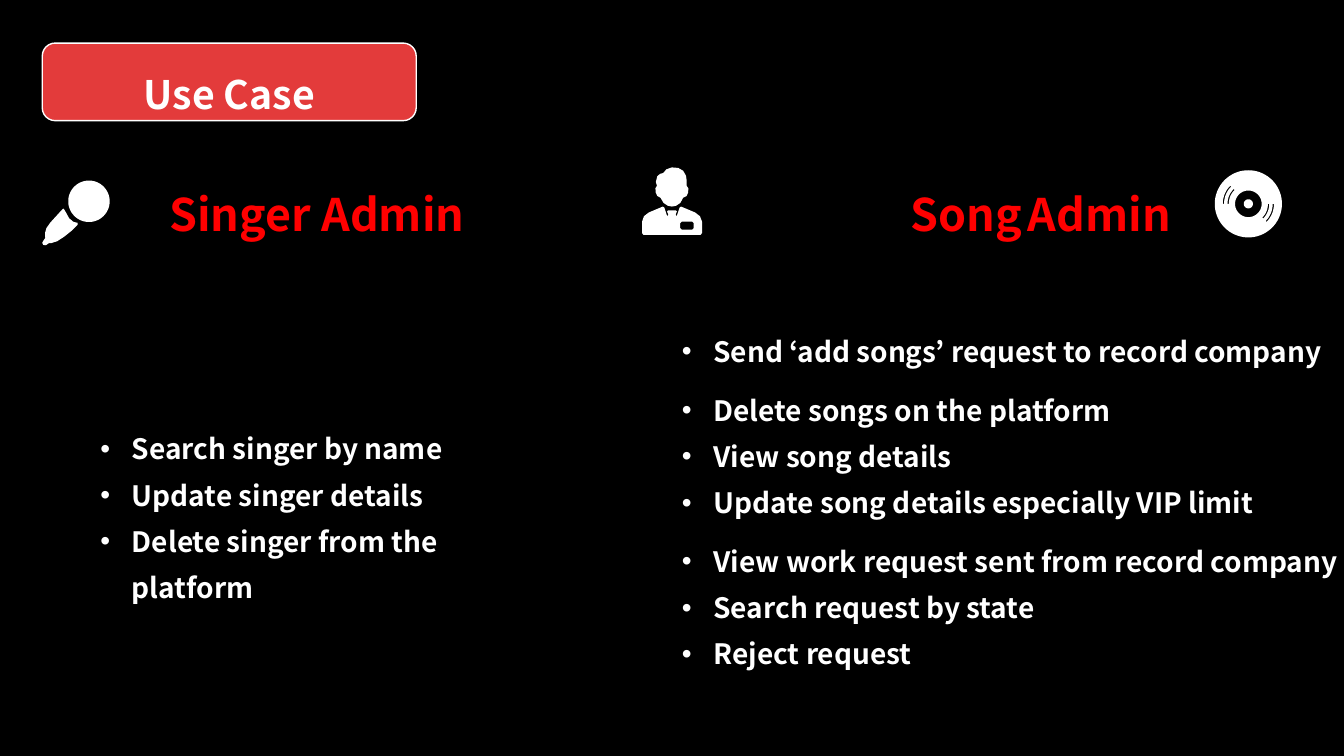
from dataclasses import dataclass
from math import cos, radians, sin

from lxml.etree import SubElement
from pptx import Presentation
from pptx.dml.color import RGBColor as RGB
from pptx.enum.shapes import MSO_SHAPE as SHAPE
from pptx.enum.text import MSO_ANCHOR as ANCHOR, MSO_AUTO_SIZE as FIT, PP_ALIGN as ALIGN
from pptx.oxml.ns import qn
from pptx.util import Pt


@dataclass(frozen=True)
class Theme:
    """Colours, font and type sizes of the deck."""
    font: str = "Noto Sans CJK JP"
    black: str = "000000"
    white: str = "FFFFFF"
    heading: str = "FF0000"
    banner: str = "FF4343"
    title_size: int = 28
    heading_size: int = 32
    body_size: int = 20
    gap_size: int = 18


def arc(center_x, center_y, radius, start=0, stop=360, step=5):
    """Return points along a circular arc."""
    return [(center_x + radius * cos(radians(angle)), center_y + radius * sin(radians(angle)))
            for angle in range(start, stop + 1, step)]


class UseCaseSlide:
    """Draws styled elements on one slide."""

    def __init__(self, deck, theme):
        """Add a comparison slide with a plain background."""
        self.theme = theme
        self.slide = deck.slides.add_slide(deck.slide_layouts[4])
        self.slide.background.fill.solid()
        self.slide.background.fill.fore_color.rgb = RGB.from_string(theme.black)

    def place(self, index, left, top, width, height):
        """Move a placeholder and return its text frame."""
        box = self.slide.placeholders[index]
        box.left, box.top, box.width, box.height = map(Pt, (left, top, width, height))
        frame = box.text_frame
        frame.word_wrap = True
        frame.auto_size = FIT.SHAPE_TO_FIT_TEXT
        frame.vertical_anchor = ANCHOR.TOP
        return frame

    def format_runs(self, para, size, color):
        """Give all runs of a paragraph one bold type style."""
        para.space_before = Pt(0)
        for span in para.runs:
            span.font.name = self.theme.font
            span.font.size = Pt(size)
            span.font.bold = True
            span.font.color.rgb = RGB.from_string(color)

    def title(self, text, *bounds):
        """Write the centred slide title."""
        frame = self.place(0, *bounds)
        frame.text = text
        para = frame.paragraphs[0]
        para.alignment = ALIGN.CENTER
        para.line_spacing = 1.3
        self.format_runs(para, self.theme.title_size, self.theme.white)

    def heading(self, index, words, *bounds):
        """Write a column heading, with small gaps between its words."""
        para = self.place(index, *bounds).paragraphs[0]
        for word in words:
            para.add_run().text = word
        para.line_spacing = 1.0
        self.format_runs(para, self.theme.heading_size, self.theme.heading)
        for span in para.runs:
            if span.text == " ":
                span.font.size = Pt(self.theme.gap_size)
                span.font.bold = False
                span.font.color.rgb = RGB.from_string(self.theme.black)

    def bullets(self, index, items, *bounds, spaced=()):
        """Write a bulleted list with extra space after chosen items."""
        frame = self.place(index, *bounds)
        frame.text = "\n".join(items)
        for number, para in enumerate(frame.paragraphs):
            para.line_spacing = Pt(33)
            para.space_after = Pt(9 if number in spaced else 0)
            self.format_runs(para, self.theme.body_size, self.theme.white)
            props = para._p.get_or_add_pPr()
            props.set("marL", str(Pt(22.5)))
            props.set("indent", str(Pt(-22.5)))
            SubElement(props, qn("a:buFont"), typeface="Arial")
            SubElement(props, qn("a:buChar"), char="•")

    def banner(self, *bounds):
        """Add the translucent title banner behind the text."""
        item = self.slide.shapes.add_shape(SHAPE.ROUNDED_RECTANGLE, *map(Pt, bounds))
        item.shadow.inherit = False
        item.fill.solid()
        item.fill.fore_color.rgb = RGB.from_string(self.theme.banner)
        item.line.color.rgb = RGB.from_string(self.theme.white)
        item.line.width = Pt(1)
        color = item.fill._xPr.find(qn("a:solidFill"))[0]
        SubElement(color, qn("a:alpha"), val="89000")
        self.slide.shapes._spTree.insert(2, item._element)

    def silhouette(self, *contours):
        """Add one white icon whose inner contours are holes."""
        first, *others = [[(Pt(x), Pt(y)) for x, y in contour] for contour in contours]
        builder = self.slide.shapes.build_freeform(*first[0])
        builder.add_line_segments(first[1:])
        for contour in others:
            builder.move_to(*contour[0])
            builder.add_line_segments(contour[1:])
        item = builder.convert_to_shape()
        item.shadow.inherit = False
        item.fill.solid()
        item.fill.fore_color.rgb = RGB.from_string(self.theme.white)
        item.line.fill.background()

    def microphone(self):
        """Draw the singer icon."""
        handle = [(45.5, 149), (47, 151.5), (49.5, 156), (52.5, 158.5), (55.5, 159.2),
                  (55.6, 160.5), (51, 165), (46, 169), (41, 172.3), (37, 173.6),
                  (34.8, 173.8), (32.8, 175.2), (31, 175), (30.2, 173.5), (31, 172),
                  (32.4, 170), (32.2, 166.5), (33.2, 163), (36, 159), (44.6, 149.6)]
        self.silhouette(handle, arc(63.6, 143.8, 14.8))

    def person(self):
        """Draw the administrator icon."""
        head = [(491.6, 137.5), (490.5, 140), (488, 141.3), (486, 145), (483, 147),
                (480, 147.6), (477, 147), (474, 145), (471.8, 141.3), (469.5, 140),
                (468.4, 137.5), (468.2, 134.5), (469.3, 132.8), (468.5, 130),
                (469.5, 126), (471.5, 124.2), (473.8, 123.6), (476, 121), (480, 119.6),
                (484.5, 120), (488, 122), (490, 125.5), (490.5, 129), (490.5, 132.8),
                (491.7, 134.5)]
        body = [(501.5, 158.4), (501.5, 166.5), (500.5, 167.8), (459.6, 167.8),
                (458.6, 166.5), (458.6, 158.4), (460, 154.5), (463.5, 151.8),
                (473.5, 147.6), (474.6, 148.4), (476.6, 154.6), (477.4, 153.2),
                (476.5, 151.2), (477.2, 150.3), (482.8, 150.3), (483.5, 151.2),
                (482.6, 153.2), (483.4, 154.6), (485.4, 148.4), (486.5, 147.6),
                (496.5, 151.8), (500, 154.5)]
        badge = [(487, 158.3), (494.4, 158.3), (495.5, 159.4), (495.5, 163),
                 (494.4, 164.1), (487, 164.1), (485.9, 163), (485.9, 159.4)]
        self.silhouette(head, body, badge)

    def record(self):
        """Draw the song icon."""
        center = 891.7, 145.6
        rings = [arc(*center, radius) for radius in (24, 9.5, 3.25)]
        grooves = [arc(*center, radius, start, start + 45)
                   + arc(*center, radius + 0.9, start, start + 45)[::-1]
                   for radius in (14, 17.4) for start in (0, 180)]
        self.silhouette(*rings, *grooves)


def main():
    """Build and save the use case slide."""
    deck = Presentation()
    deck.slide_width, deck.slide_height = Pt(960), Pt(540)
    page = UseCaseSlide(deck, Theme())
    page.banner(30.2, 30.8, 267.1, 55.4)
    page.title("Use Case", 10.5, 36.7, 306.7, 46.8)
    page.heading(1, ["Singer Admin"], 113.8, 129.6, 267.1, 46)
    page.heading(3, ["Song", " ", "Admin"], 643.2, 129.6, 246.2, 46)
    page.bullets(2, ["Search singer by name", "Update singer details",
                     "Delete singer from the platform"], 64.5, 295.9, 343.4, 104.4)
    page.bullets(4, ["Send ‘add songs’ request to record company",
                     "Delete songs on the platform", "View song details",
                     "Update song details especially VIP limit",
                     "View work request sent from record company",
                     "Search request by state", "Reject request"],
                 479.9, 226.3, 519.1, 256.3, spaced=(0, 3))
    page.person()
    page.microphone()
    page.record()
    deck.save("out.pptx")


if __name__ == "__main__":
    main()
